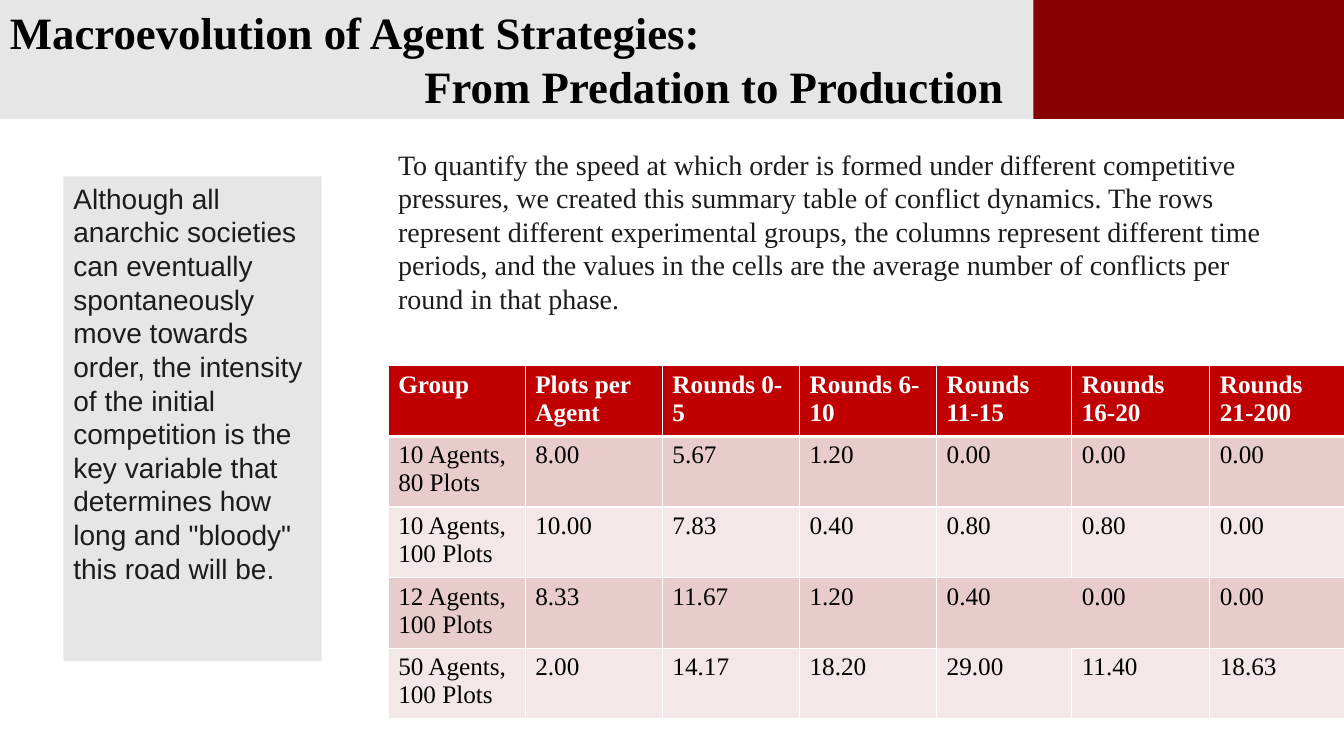
import pptx
import pptx.util
import pptx.dml.color
import pptx.enum.shapes
import pptx.enum.text
import pptx.oxml

Inches, Pt = pptx.util.Inches, pptx.util.Pt
Color = pptx.dml.color.RGBColor.from_string

SERIF = "Times New Roman"
THEME = {
    "band": "E7E6E6",
    "accent": "860000",
    "header": "C00000",
    "rows": ["F4E7E7", "E8CCCC"],
    "border": "FFFFFF",
    "title": {"name": SERIF, "size": Pt(32), "bold": True, "color": "000000"},
    "body": {"name": SERIF, "size": Pt(20), "bold": False, "color": "1A1C1E"},
    "aside": {"name": "Arial", "size": Pt(20), "bold": False, "color": "1A1C1E"},
    "head cell": {"name": SERIF, "size": Pt(18), "bold": True, "color": "FFFFFF"},
    "cell": {"name": SERIF, "size": Pt(18), "bold": False, "color": "000000"},
}

deck = pptx.Presentation()
deck.slide_width, deck.slide_height = Inches(13.33), Inches(7.5)
page = deck.slides.add_slide(deck.slide_layouts[6])

BAND_HEIGHT = 1.18
ACCENT_LEFT = 10.25
CONTENT_LEFT = 3.85


def write(frame, lines, style):
    frame.word_wrap = True
    for number, line in enumerate(lines):
        para = frame.add_paragraph() if number else frame.paragraphs[0]
        para.alignment = pptx.enum.text.PP_ALIGN.LEFT
        span = para.add_run()
        span.text = line
        for key, value in THEME[style].items():
            if key == "color":
                span.font.color.rgb = Color(value)
            else:
                setattr(span.font, key, value)


def add_block(left, top, width, height, fill=None):
    block = page.shapes.add_shape(
        pptx.enum.shapes.MSO_SHAPE.RECTANGLE,
        Inches(left), Inches(top), Inches(width), Inches(height))
    block.shadow.inherit = False
    block.fill.solid()
    block.fill.fore_color.rgb = Color(fill)
    block.line.fill.background()
    block.text_frame.vertical_anchor = pptx.enum.text.MSO_ANCHOR.TOP
    return block


# Title band, with the second line indented
title = add_block(0, 0, 13.33, BAND_HEIGHT, THEME["band"])
write(title.text_frame,
      ["Macroevolution of Agent Strategies:", "From Predation to Production"], "title")
second_line = title.text_frame.paragraphs[1]
second_line._p.get_or_add_pPr().set("marL", str(Inches(4.11)))
add_block(ACCENT_LEFT, 0, 13.33 - ACCENT_LEFT, BAND_HEIGHT, THEME["accent"])

# Conflict table
conflicts = [
    ["Group", "Plots per Agent", "Rounds 0-5", "Rounds 6-10",
     "Rounds 11-15", "Rounds 16-20", "Rounds 21-200"],
    ["10 Agents, 80 Plots", "8.00", "5.67", "1.20", "0.00", "0.00", "0.00"],
    ["10 Agents, 100 Plots", "10.00", "7.83", "0.40", "0.80", "0.80", "0.00"],
    ["12 Agents, 100 Plots", "8.33", "11.67", "1.20", "0.40", "0.00", "0.00"],
    ["50 Agents, 100 Plots", "2.00", "14.17", "18.20", "29.00", "11.40", "18.63"],
]
column_widths = [1.36, 1.36, 1.36, 1.36, 1.34, 1.37, 1.36]
ROW_HEIGHT = 0.7
BORDERLESS = (3, 4)
SIDES = {"lnL": (0, -1), "lnR": (0, 1), "lnT": (-1, 0), "lnB": (1, 0)}
NO_STYLE = "{2D5ABB26-0587-4C30-8999-92F81FD0307C}"

table_frame = page.shapes.add_table(
    len(conflicts), len(column_widths), Inches(CONTENT_LEFT), Inches(3.63),
    Inches(sum(column_widths)), Inches(ROW_HEIGHT * len(conflicts)))
table = table_frame.table
table.horz_banding = False
table._tbl.tblPr.find(pptx.oxml.ns.qn("a:tableStyleId")).text = NO_STYLE
for column, width in zip(table.columns, column_widths):
    column.width = Inches(width)

for r, values in enumerate(conflicts):
    table.rows[r].height = Inches(ROW_HEIGHT)
    for c, value in enumerate(values):
        cell = table.cell(r, c)
        write(cell.text_frame, [value], "cell" if r else "head cell")
        # Borders: thick below the header, none around the borderless cell
        for side, (down, right) in SIDES.items():
            if BORDERLESS in ((r, c), (r + down, c + right)):
                continue
            below_header = (r, side) in ((0, "lnB"), (1, "lnT"))
            cell._tc.get_or_add_tcPr().append(pptx.oxml.parse_xml(
                f'<a:{side} {pptx.oxml.ns.nsdecls("a")} w="{Pt(3 if below_header else 1)}">'
                f'<a:solidFill><a:srgbClr val="{THEME["border"]}"/></a:solidFill></a:{side}>'))
        cell.fill.solid()
        cell.fill.fore_color.rgb = Color(THEME["rows"][r % 2] if r else THEME["header"])

# Introduction above the table
intro = page.shapes.add_textbox(
    Inches(CONTENT_LEFT), Inches(1.41), Inches(9.16), Inches(1.78))
write(intro.text_frame, [
    "To quantify the speed at which order is formed under different competitive "
    "pressures, we created this summary table of conflict dynamics. The rows "
    "represent different experimental groups, the columns represent different time "
    "periods, and the values in the cells are the average number of conflicts per "
    "round in that phase."], "body")

# Conclusion at the left
conclusion = add_block(0.63, 1.75, 2.56, 4.81, THEME["band"])
write(conclusion.text_frame, [
    "Although all anarchic societies can eventually spontaneously move towards "
    "order, the intensity of the initial competition is the key variable that "
    'determines how long and "bloody" this road will be.'], "aside")

deck.save("out.pptx")
